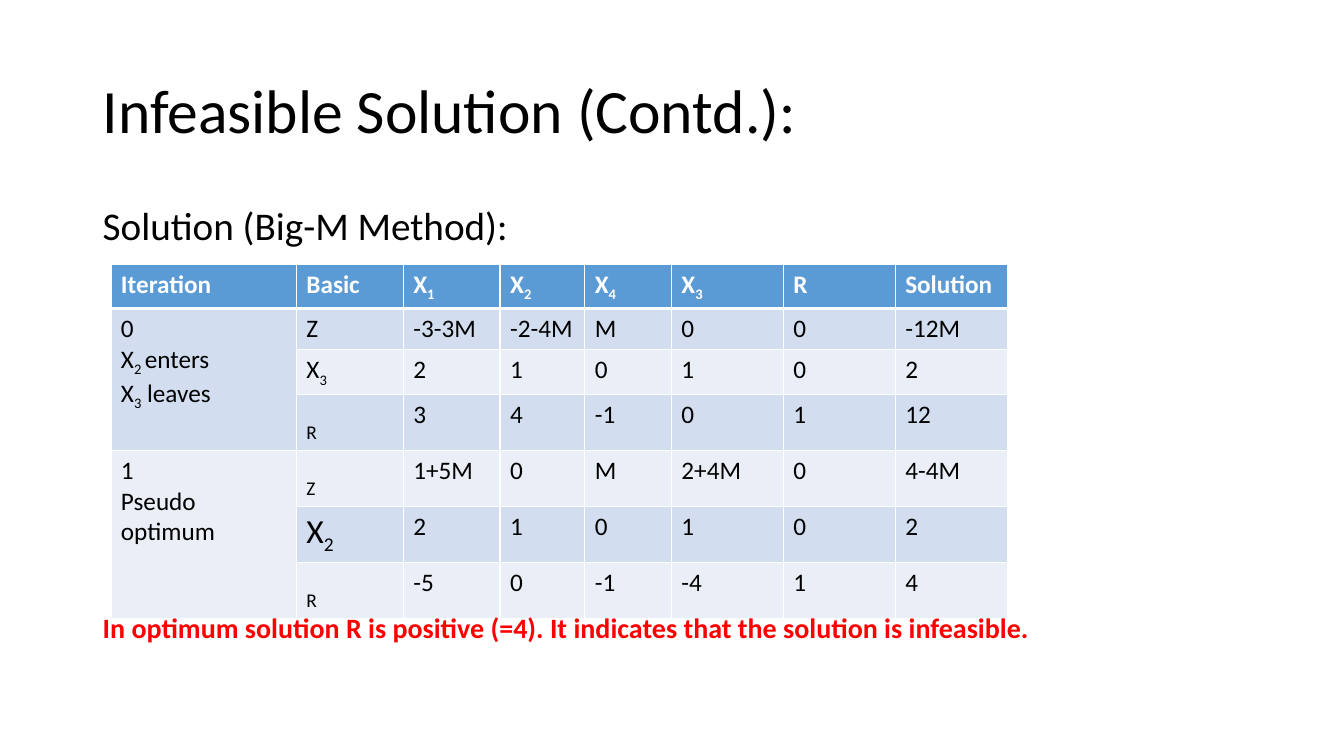
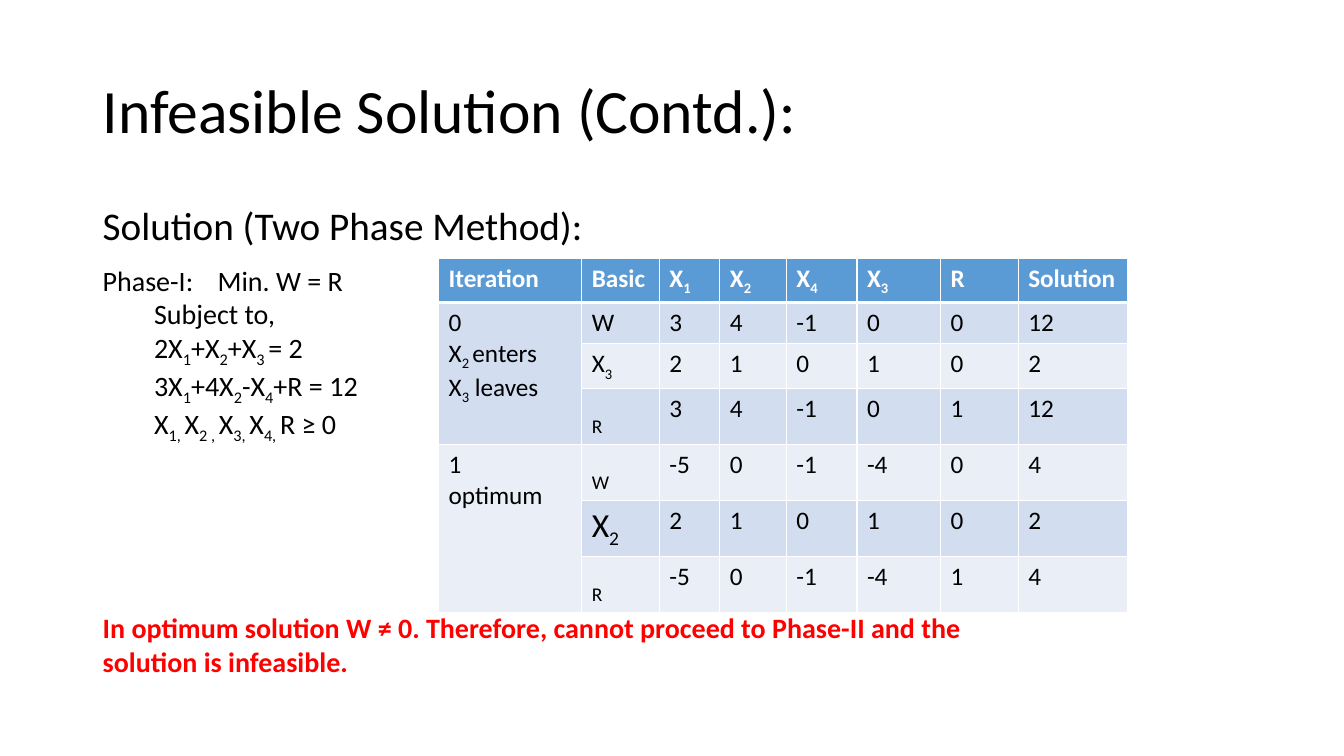
"""Build two slides that show how the simplex method reveals an infeasible problem."""

import dataclasses
import typing

import lxml.etree
import pptx
import pptx.dml.color
import pptx.enum.text
import pptx.oxml.ns
import pptx.slide
import pptx.table
import pptx.text.text
import pptx.util

Inches = pptx.util.Inches
RGBColor = pptx.dml.color.RGBColor
Anchor = pptx.enum.text.MSO_ANCHOR
qn = pptx.oxml.ns.qn

FONT = "Calibri"
BLACK = RGBColor(0x00, 0x00, 0x00)
WHITE = RGBColor(0xFF, 0xFF, 0xFF)
RED = RGBColor(0xFF, 0x00, 0x00)
HEADER_BLUE = RGBColor(0x5B, 0x9B, 0xD5)
BANDS = (RGBColor(0xD2, 0xDE, 0xEF), RGBColor(0xEA, 0xEF, 0xF7))

MARGIN_LEFT = 0.92
CONTENT_WIDTH = 11.5
ROW_HEIGHT = 0.41
SUBSCRIPT = "-25000"
HEADINGS = ("Iteration", "Basic", "X[1]", "X[2]", "X[4]", "X[3]", "R", "Solution")
ROWS_PER_ITERATION = 3
FIRST_LARGE_BASIC_ROW = 3


@dataclasses.dataclass(frozen=True)
class TextStyle:
    """Look of a block of text."""

    size: float
    color: RGBColor = BLACK
    bold: bool = False
    line_spacing: float = 1.0
    space_before: float = 0
    anchor: Anchor = Anchor.TOP


@dataclasses.dataclass(frozen=True)
class Box:
    """Position and size in inches."""

    left: float
    top: float
    width: float
    height: float


@dataclasses.dataclass(frozen=True)
class Tableau:
    """Simplex tableau: one label per iteration and one string per row."""

    left: float
    top: float
    widths: tuple[float, ...]
    iterations: tuple[str, ...]
    rows: tuple[str, ...]


@dataclasses.dataclass(frozen=True)
class Method:
    """Content of one slide; square brackets mark subscripts."""

    subtitle: str
    tableau: Tableau
    conclusion: str
    conclusion_height: float
    problem: typing.Optional[str] = None


TITLE = "Infeasible Solution (Contd.):"
TITLE_STYLE = TextStyle(44, line_spacing=0.9, anchor=Anchor.MIDDLE)
SUBTITLE_STYLE = TextStyle(28, line_spacing=0.9, space_before=10)
PROBLEM_STYLE = TextStyle(20)
CONCLUSION_STYLE = TextStyle(20, RED, bold=True)
HEADER_STYLE = TextStyle(18, WHITE, bold=True)
CELL_STYLE = TextStyle(18)
LARGE_BASIC_STYLE = TextStyle(24)

TITLE_BOX = Box(MARGIN_LEFT, 0.4, CONTENT_WIDTH, 1.45)
SUBTITLE_BOX = Box(MARGIN_LEFT, 2, CONTENT_WIDTH, 4.76)
PROBLEM_BOX = Box(MARGIN_LEFT, 2.56, 3.27, 2.12)
PROBLEM_INDENT = 0.51
PROBLEM_TAB = 1.14

METHODS = (
    Method(
        subtitle="Solution (Big-M Method):",
        tableau=Tableau(
            left=1.1,
            top=2.62,
            widths=(1.84, 1.06, 0.96, 0.84, 0.86, 1.11, 1.11, 1.11),
            iterations=("0\nX[2 ]enters\nX[3] leaves", "1\nPseudo optimum"),
            rows=(
                "Z -3-3M -2-4M M 0 0 -12M",
                "X[3] 2 1 0 1 0 2",
                "[R] 3 4 -1 0 1 12",
                "[Z] 1+5M 0 M 2+4M 0 4-4M",
                "X[2] 2 1 0 1 0 2",
                "[R] -5 0 -1 -4 1 4",
            ),
        ),
        conclusion="In optimum solution R is positive (=4). It indicates that the solution is infeasible.",
        conclusion_height=0.44,
    ),
    Method(
        subtitle="Solution (Two Phase Method):",
        tableau=Tableau(
            left=4.35,
            top=2.56,
            widths=(1.42, 0.77, 0.6, 0.66, 0.7, 0.83, 0.77, 1.08),
            iterations=("0\nX[2 ]enters\nX[3] leaves", "1\noptimum"),
            rows=(
                "W 3 4 -1 0 0 12",
                "X[3] 2 1 0 1 0 2",
                "[R] 3 4 -1 0 1 12",
                "[W] -5 0 -1 -4 0 4",
                "X[2] 2 1 0 1 0 2",
                "[R] -5 0 -1 -4 1 4",
            ),
        ),
        conclusion="In optimum solution W ≠ 0. Therefore, cannot proceed to Phase-II and the solution is infeasible.",
        conclusion_height=0.77,
        problem=(
            "Phase-I:\tMin. W = R\n"
            "Subject to,\n"
            "2X[1]+X[2]+X[3 ]= 2\n"
            "3X[1]+4X[2]-X[4]+R = 12\n"
            "X[1, ]X[2 , ]X[3, ]X[4, ]R ≥ 0"
        ),
    ),
)


def write_text(frame: pptx.text.text.TextFrame, text: str, style: TextStyle) -> None:
    """Write lines of text, lowering the parts in square brackets."""
    for index, line in enumerate(text.split("\n")):
        para = frame.add_paragraph() if index else frame.paragraphs[0]
        para.line_spacing = style.line_spacing
        para.space_before = pptx.util.Pt(style.space_before)
        for position, part in enumerate(line.replace("]", "[").split("[")):
            if not part:
                continue
            span = para.add_run()
            span.text = part
            span.font.name = FONT
            span.font.size = pptx.util.Pt(style.size)
            span.font.bold = style.bold
            span.font.color.rgb = style.color
            if position % 2:
                span.font._element.set("baseline", SUBSCRIPT)


def add_text(
    page: pptx.slide.Slide, box: Box, text: str, style: TextStyle
) -> pptx.text.text.TextFrame:
    """Add a wrapped text box and return its frame."""
    shape = page.shapes.add_textbox(
        Inches(box.left), Inches(box.top), Inches(box.width), Inches(box.height)
    )
    frame = shape.text_frame
    frame.word_wrap = True
    frame.vertical_anchor = style.anchor
    write_text(frame, text, style)
    return frame


def add_problem(page: pptx.slide.Slide, text: str) -> None:
    """Add the objective with a tab stop and the indented constraints."""
    objective, *constraints = add_text(page, PROBLEM_BOX, text, PROBLEM_STYLE).paragraphs
    stops = lxml.etree.SubElement(objective._p.get_or_add_pPr(), qn("a:tabLst"))
    lxml.etree.SubElement(
        stops, qn("a:tab"), pos=str(Inches(PROBLEM_TAB)), algn="l"
    )
    for para in constraints:
        para._p.get_or_add_pPr().set("marL", str(Inches(PROBLEM_INDENT)))


def format_cell(
    cell: pptx.table._Cell, fill: RGBColor, top_width: float, bottom_width: float
) -> None:
    """Give a cell white borders and a plain fill."""
    properties = cell._tc.get_or_add_tcPr()
    borders = {"lnL": 1, "lnR": 1, "lnT": top_width, "lnB": bottom_width}
    for name, width in borders.items():
        line = lxml.etree.SubElement(
            properties, qn(f"a:{name}"), w=str(pptx.util.Pt(width))
        )
        solid = lxml.etree.SubElement(line, qn("a:solidFill"))
        lxml.etree.SubElement(solid, qn("a:srgbClr"), val=str(WHITE))
    cell.fill.solid()
    cell.fill.fore_color.rgb = fill


def add_tableau(page: pptx.slide.Slide, tableau: Tableau) -> None:
    """Add the table with a header, banded rows and merged iteration cells."""
    row_count = len(tableau.rows) + 1
    table = page.shapes.add_table(
        row_count,
        len(HEADINGS),
        Inches(tableau.left),
        Inches(tableau.top),
        Inches(sum(tableau.widths)),
        Inches(ROW_HEIGHT * row_count),
    ).table
    for column, width in zip(table.columns, tableau.widths):
        column.width = Inches(width)
    for row in table.rows:
        row.height = Inches(ROW_HEIGHT)

    for column, heading in enumerate(HEADINGS):
        cell = table.cell(0, column)
        format_cell(cell, HEADER_BLUE, 1, 3)
        write_text(cell.text_frame, heading, HEADER_STYLE)

    for row, values in enumerate(tableau.rows, start=1):
        for column, value in enumerate(values.split(), start=1):
            cell = table.cell(row, column)
            format_cell(cell, BANDS[(row - 1) % 2], 3 if row == 1 else 1, 1)
            large = column == 1 and row >= FIRST_LARGE_BASIC_ROW
            write_text(cell.text_frame, value, LARGE_BASIC_STYLE if large else CELL_STYLE)

    for index, label in enumerate(tableau.iterations):
        first = 1 + index * ROWS_PER_ITERATION
        last = first + ROWS_PER_ITERATION - 1
        for row in range(first, last + 1):
            format_cell(table.cell(row, 0), BANDS[index], 3 if row == 1 else 1, 1)
        cell = table.cell(first, 0)
        cell.merge(table.cell(last, 0))
        write_text(cell.text_frame, label, CELL_STYLE)


def add_method(deck: pptx.presentation.Presentation, method: Method) -> None:
    """Add one slide for a solution method."""
    page = deck.slides.add_slide(deck.slide_layouts[6])
    add_text(page, TITLE_BOX, TITLE, TITLE_STYLE)
    add_text(page, SUBTITLE_BOX, method.subtitle, SUBTITLE_STYLE)
    add_tableau(page, method.tableau)
    if method.problem:
        add_problem(page, method.problem)
    conclusion_box = Box(MARGIN_LEFT, 6.01, 9.61, method.conclusion_height)
    add_text(page, conclusion_box, method.conclusion, CONCLUSION_STYLE)


def main() -> None:
    """Build and save the deck."""
    deck = pptx.Presentation()
    deck.slide_width = Inches(13.33)
    deck.slide_height = Inches(7.5)
    for method in METHODS:
        add_method(deck, method)
    deck.save("out.pptx")


if __name__ == "__main__":
    main()
